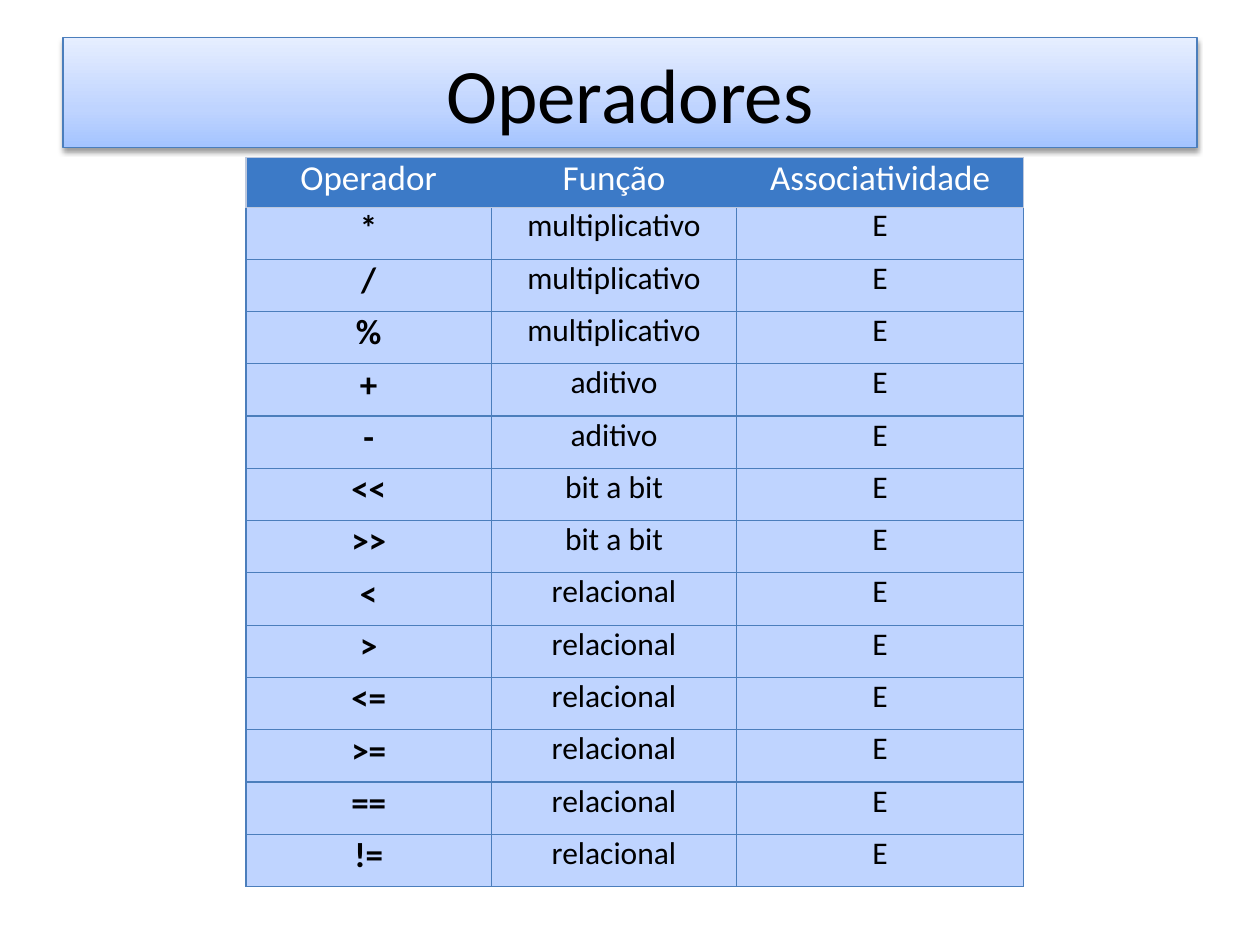
from copy import deepcopy

from pptx import Presentation
from pptx.dml.color import RGBColor
from pptx.enum.shapes import MSO_SHAPE
from pptx.enum.text import MSO_ANCHOR, PP_ALIGN
from pptx.oxml import parse_xml
from pptx.oxml.ns import nsdecls, qn
from pptx.util import Pt

RECT = MSO_SHAPE.RECTANGLE
CENTER = PP_ALIGN.CENTER
MIDDLE = MSO_ANCHOR.MIDDLE
FONT = "Calibri"
BLACK, WHITE = "000000", "FFFFFF"
BLUE, PALE, DARK, EDGE = "4B7EBC", "BFD4FF", "3C7AC7", "BDC8DD"
STOPS = [(0, "A4C4FF"), (0.35, PALE), (1, "E6EEFF")]
COLS = [140.2, 140.2, 164]
HEADS = ["Operador", "Função", "Associatividade"]
GROUPS = [
    ("multiplicativo", "* / %"),
    ("aditivo", "+ -"),
    ("bit a bit", "<< >>"),
    ("relacional", "< > <= >= == !="),
]


def color(code):
    return RGBColor.from_string(code)


def style(para, size, code, bold=False):
    para.alignment = CENTER
    font = para.runs[0].font
    font.name, font.size, font.bold = FONT, Pt(size), bold
    font.color.rgb = color(code)


def add_title(slide, text, left, top, width, height):
    box = slide.shapes.add_shape(RECT, Pt(left), Pt(top), Pt(width), Pt(height))
    box.line.color.rgb = color(BLUE)
    box.line.width = Pt(0.75)
    box.fill.gradient()
    box.fill.gradient_angle = 90
    stops = box._element.spPr.find(".//" + qn("a:gsLst"))
    stops.append(deepcopy(stops[0]))
    for stop, (place, code) in zip(box.fill.gradient_stops, STOPS):
        stop.position = place
        stop.color.rgb = color(code)
    box._element.spPr.append(parse_xml(
        f'<a:effectLst {nsdecls("a")}><a:outerShdw blurRad="{Pt(3.1)}" '
        f'dist="{Pt(1.6)}" dir="5400000" rotWithShape="0"><a:srgbClr val="{BLACK}">'
        '<a:alpha val="38000"/></a:srgbClr></a:outerShdw></a:effectLst>'))
    frame = box.text_frame
    frame.text = text
    frame.word_wrap = True
    frame.vertical_anchor = MIDDLE
    style(frame.paragraphs[0], 44, BLACK)


def set_edges(cell, sides, code):
    """Draw the given sides (of L, R, T, B) and clear the others."""
    props = cell._tc.get_or_add_tcPr()
    for side in "LRTB":
        fill = (f'<a:solidFill><a:srgbClr val="{code}"/></a:solidFill>'
                if side in sides else "<a:noFill/>")
        props.append(parse_xml(
            f'<a:ln{side} {nsdecls("a")} w="{Pt(0.75)}">{fill}</a:ln{side}>'))


def add_grid(slide, rows, left, top, height):
    shape = slide.shapes.add_table(
        len(rows), len(COLS), Pt(left), Pt(top), Pt(sum(COLS)), Pt(height))
    table = shape.table
    table.first_row = table.horz_banding = False
    for col, width in zip(table.columns, COLS):
        col.width = Pt(width)
    for row, texts in zip(table.rows, rows):
        row.height = Pt(height / len(rows))
        for cell, text in zip(row.cells, texts):
            cell.text = text
            cell.margin_left = cell.margin_right = Pt(3.6)
            cell.margin_top = cell.margin_bottom = 0
    return table


def paint(cell, fill, sides, edge):
    set_edges(cell, sides, edge)
    cell.fill.solid()
    cell.fill.fore_color.rgb = color(fill)


def add_body(slide, left, top, height):
    rows = [(sign, role, "E") for role, signs in GROUPS for sign in signs.split()]
    table = add_grid(slide, rows, left, top, height)
    for row in table.rows:
        for col, cell in enumerate(row.cells):
            paint(cell, PALE, "LRTB", BLUE)
            first = col == 0
            style(cell.text_frame.paragraphs[0], 20 if first else 18, BLACK, first)


def add_head(slide, left, top, height):
    table = add_grid(slide, [HEADS], left, top, height)
    for cell, sides in zip(table.rows[0].cells, ["LTB", "TB", "RTB"]):
        paint(cell, DARK, sides, EDGE)
        style(cell.text_frame.paragraphs[0], 20, WHITE)


def main():
    deck = Presentation()
    deck.slide_width, deck.slide_height = Pt(720), Pt(540)
    slide = deck.slides.add_slide(deck.slide_layouts[6])
    add_title(slide, "Operadores", 36, 21.6, 648, 62.6)
    add_body(slide, 140.6, 118.2, 388.6)
    add_head(slide, 140.6, 90, 28.6)
    deck.save("out.pptx")


if __name__ == "__main__":
    main()
